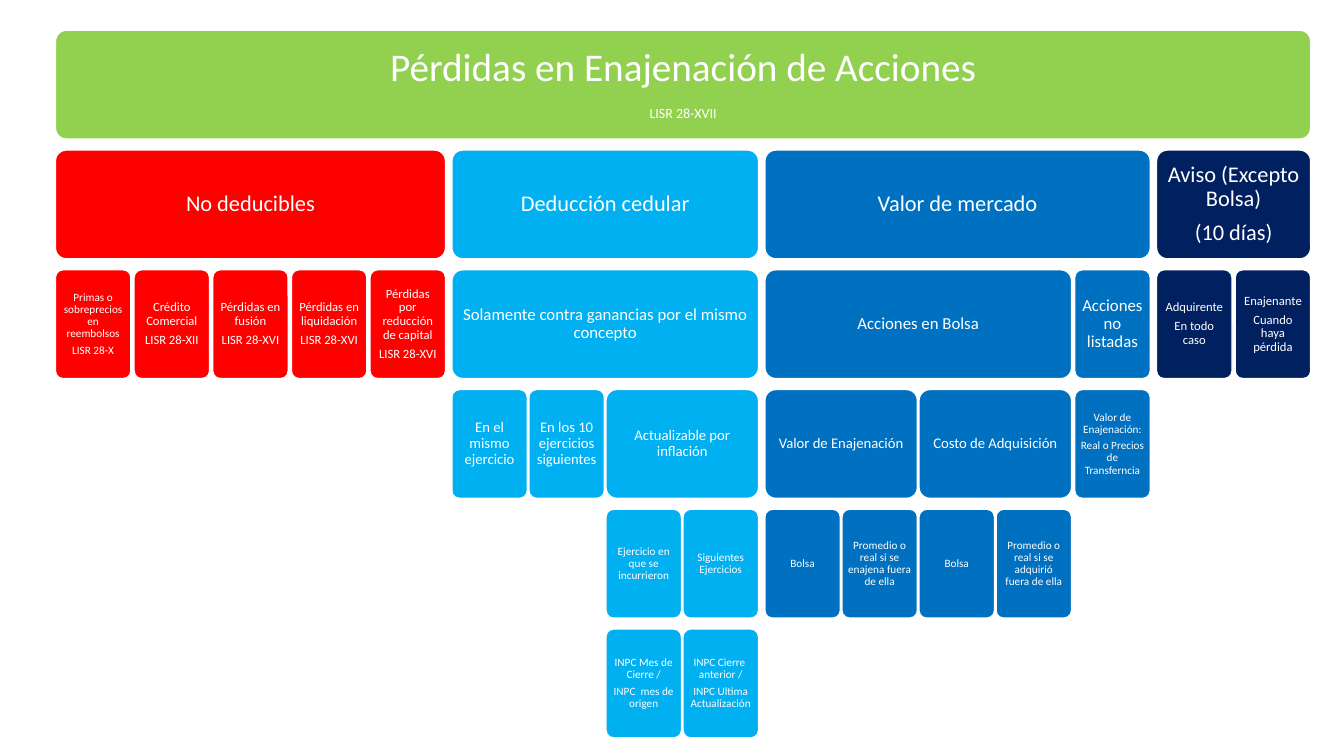
from dataclasses import dataclass

from pptx import Presentation
from pptx.dml.color import RGBColor
from pptx.enum.shapes import MSO_SHAPE as Shape
from pptx.enum.text import MSO_ANCHOR as Anchor, PP_ALIGN as Align
from pptx.util import Inches, Pt

WIDE, HIGH = 13.33, 7.5
LEFT, TOP, SPAN = 0.55, 0.3, 12.45
ROW = 1.08
PITCH = ROW * 1.1
GAPS = 1 / 12, 1 / 24, 1 / 48
FONT, WHITE = "Calibri", "FFFFFF"


@dataclass
class Node:
    """One box of the tree, with the boxes below it."""
    text: str
    size: float
    kids: tuple = ()
    fill: str = ""
    last: float = 0


RED = Node("No deducibles", 16, (
    Node("Primas o sobreprecios en reembolsos\nLISR 28-X", 8),
    Node("Crédito Comercial\nLISR 28-XII", 9),
    Node("Pérdidas en fusión\nLISR 28-XVI", 9),
    Node("Pérdidas en liquidación\nLISR 28-XVI", 9),
    Node("Pérdidas por reducción de capital\nLISR 28-XVI", 9),
), "FF0000")

SKY = Node("Deducción cedular", 16, (
    Node("Solamente contra ganancias por el mismo concepto", 12, (
        Node("En el mismo ejercicio", 10.5),
        Node("En los 10 ejercicios siguientes", 10.5),
        Node("Actualizable por inflación", 10.5, (
            Node("Ejercicio en que se incurrieron", 8, (
                Node("INPC Mes de Cierre /\nINPC  mes de origen", 8),)),
            Node("Siguientes Ejercicios", 8, (
                Node("INPC Cierre  anterior /\nINPC Ultima Actualización", 8),)),
        )),
    )),
), "00B0F0")

BLUE = Node("Valor de mercado", 16, (
    Node("Acciones en Bolsa", 12, (
        Node("Valor de Enajenación", 10.5, (
            Node("Bolsa", 8),
            Node("Promedio o real si se enajena fuera de ella", 8))),
        Node("Costo de Adquisición", 10.5, (
            Node("Bolsa", 8),
            Node("Promedio o real si se adquirió fuera de ella", 8))),
    )),
    Node("Acciones no listadas", 12, (
        Node("Valor de Enajenación:\nReal o Precios de Transferncia", 8),)),
), "0070C0")

NAVY = Node("Aviso (Excepto Bolsa)\n(10 días)", 16, (
    Node("Adquirente\nEn todo caso", 9),
    Node("Enajenante\nCuando haya pérdida", 9),
), "002060")

ROOT = Node("Pérdidas en Enajenación de Acciones\nLISR 28-XVII", 28,
            (RED, SKY, BLUE, NAVY), "92D050", last=10)


def paint(form, tint):
    """Give a fill or line one solid colour."""
    form.solid()
    form.fore_color.rgb = RGBColor.from_string(tint)


def write(frame, text, size, last=0, tint=WHITE):
    """Fill a text frame with centred lines; last sizes the closing line."""
    frame.word_wrap = True
    frame.vertical_anchor = Anchor.MIDDLE
    frame.margin_left = frame.margin_right = Pt(size * 0.3)
    frame.margin_top = frame.margin_bottom = Pt(size * 0.3)
    lines = text.split("\n")
    for i, line in enumerate(lines):
        para = frame.paragraphs[0] if i == 0 else frame.add_paragraph()
        para.alignment = Align.CENTER
        para.line_spacing = 0.9
        here = last if last and i == len(lines) - 1 else size
        para.space_after = Pt(here * 0.42)
        run = para.add_run()
        run.text = line
        run.font.name = FONT
        run.font.size = Pt(here)
        run.font.color.rgb = RGBColor.from_string(tint)


def gap(depth):
    """Return the gap between the children of a box, in leaf widths."""
    return GAPS[min(depth, len(GAPS) - 1)]


def width(node, depth):
    """Return the width of a branch, in leaf widths."""
    if not node.kids:
        return 1
    kids = sum(width(kid, depth + 1) for kid in node.kids)
    return kids + gap(depth) * (len(node.kids) - 1)


def draw(slide, node, left, top, unit, depth=0, fill=""):
    """Draw a box and, below it, its branch."""
    fill = node.fill or fill
    box = slide.shapes.add_shape(
        Shape.ROUNDED_RECTANGLE, Inches(left), Inches(top),
        Inches(width(node, depth) * unit), Inches(ROW))
    box.adjustments[0] = 0.1
    box.shadow.inherit = False
    paint(box.fill, fill)
    paint(box.line.fill, WHITE)
    box.line.width = Pt(1)
    write(box.text_frame, node.text, node.size, last=node.last)
    for kid in node.kids:
        draw(slide, kid, left, top + PITCH, unit, depth + 1, fill)
        left += (width(kid, depth + 1) + gap(depth)) * unit


def main():
    """Build and save the slide."""
    deck = Presentation()
    deck.slide_width, deck.slide_height = Inches(WIDE), Inches(HIGH)
    slide = deck.slides.add_slide(deck.slide_layouts[6])
    draw(slide, ROOT, LEFT, TOP, SPAN / width(ROOT, 0))
    deck.save("out.pptx")


if __name__ == "__main__":
    main()
